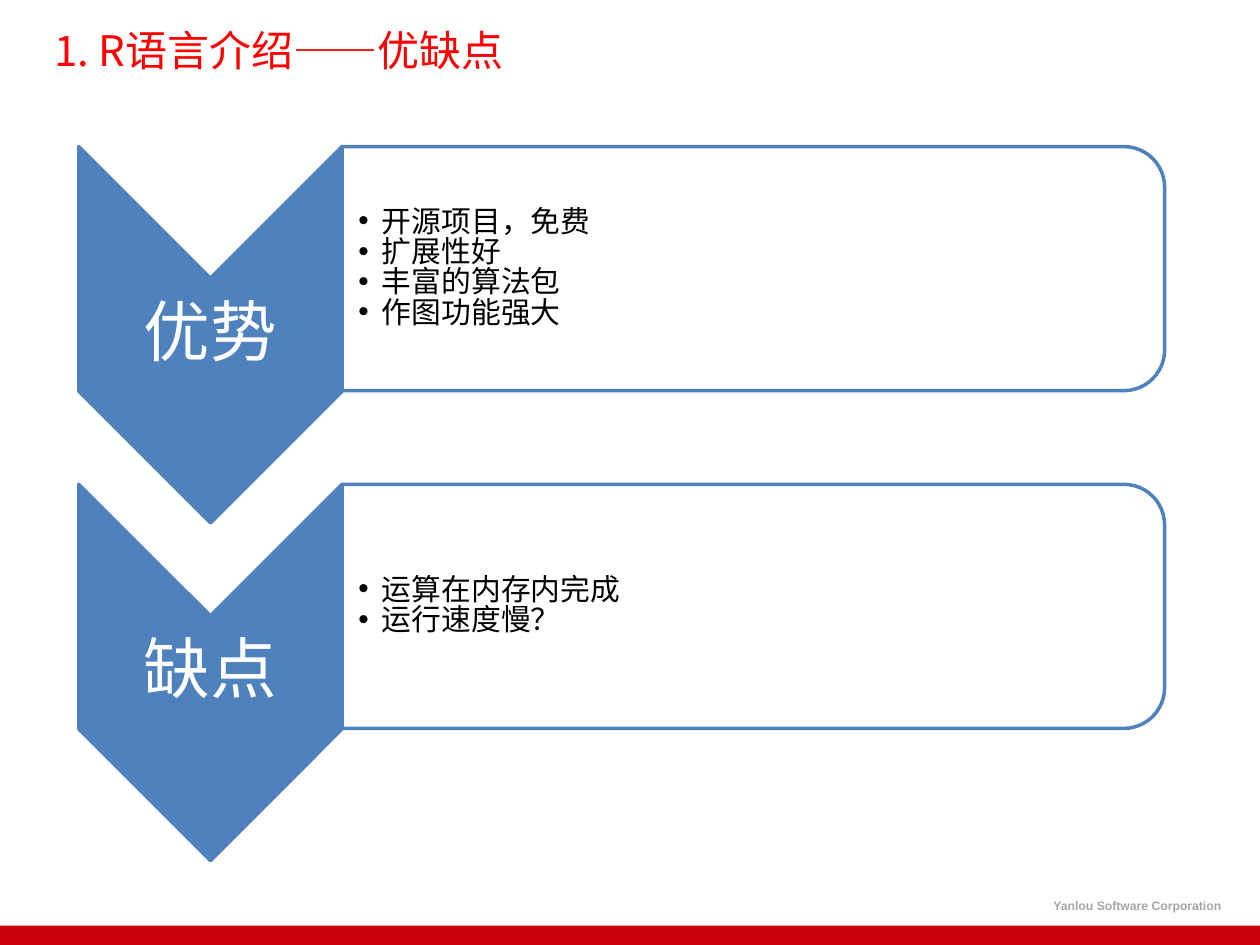
from pptx import Presentation
from pptx.dml.color import RGBColor
from pptx.enum.shapes import MSO_SHAPE
from pptx.enum.text import MSO_ANCHOR, MSO_AUTO_SIZE, PP_ALIGN
from pptx.oxml.ns import qn
from pptx.util import Pt
from lxml import etree

RECT, CHEVRON = MSO_SHAPE.RECTANGLE, MSO_SHAPE.CHEVRON
ROUND = MSO_SHAPE.ROUND_2_SAME_RECTANGLE
MIDDLE, FIXED = MSO_ANCHOR.MIDDLE, MSO_AUTO_SIZE.NONE
LEFT, CENTER, RIGHT = PP_ALIGN.LEFT, PP_ALIGN.CENTER, PP_ALIGN.RIGHT

WIDTH, HEIGHT = 720, 540
CJK = "Noto Sans CJK SC"
BLUE, WHITE = "4F81BD", "FFFFFF"
ARROW_W, ARROW_H = 150.5, 215
PANEL_W, PANEL_H = 470, 139.5
STEP = 193
GROUPS = [
    ("优势", "Calibri", ["开源项目，免费", "扩展性好", "丰富的算法包", "作图功能强大"]),
    ("缺点", CJK, ["运算在内存内完成", "运行速度慢？"]),
]


def color(text):
    return RGBColor.from_string(text)


def assign(item, values):
    for name, value in values.items():
        setattr(item, name, value)


def place(shape, x, y, w, h):
    assign(shape, dict(left=Pt(x), top=Pt(y), width=Pt(w), height=Pt(h)))


def write(shape, lines, size, hue, font, para, inset=(7.2, 3.6), wrap=True, bold=False):
    """Fill the text frame with one paragraph per line; inset is (x, y)."""
    frame = shape.text_frame
    across, down = map(Pt, inset)
    assign(frame, dict(
        text="\n".join(lines), word_wrap=wrap, auto_size=FIXED,
        vertical_anchor=MIDDLE, margin_left=across, margin_right=across,
        margin_top=down, margin_bottom=down))
    for line in frame.paragraphs:
        assign(line, para)
        run = line.runs[0]
        assign(run.font, dict(size=Pt(size), name=font, bold=bold))
        run.font.color.rgb = color(hue)
        east = etree.SubElement(run.font._element, qn("a:ea"))
        east.set("typeface", CJK)


def block(slide, kind, box, fill, edge=None, turn=0):
    """Draw a shape that covers box once turned by 0 or 90 degrees."""
    x, y, w, h = box
    if turn:
        x, y, w, h = x + (w - h) / 2, y + (h - w) / 2, h, w
    shape = slide.shapes.add_shape(kind, Pt(x), Pt(y), Pt(w), Pt(h))
    shape.rotation = turn
    shape.shadow.inherit = False
    shape.fill.solid()
    shape.fill.fore_color.rgb = color(fill)
    if edge:
        shape.line.color.rgb = color(edge)
        shape.line.width = Pt(2)
    else:
        shape.line.fill.background()
    return shape


def textbox(slide, x, y, w, h):
    return slide.shapes.add_textbox(Pt(x), Pt(y), Pt(w), Pt(h))


def heading(slide, x, y, w, h):
    title = slide.shapes.title
    place(title, x, y, w, h)
    write(title, ["1. R语言介绍——优缺点"], 24, "FF0000", CJK, dict(alignment=LEFT))


def footer(slide, x, y, w, h):
    block(slide, RECT, (x, y, w, h), "C8000E")
    note = textbox(slide, x + w - 129, y - 19.5, 114, 16)
    write(note, ["Yanlou Software Corporation"], 7, "A6A6A6", "Arial",
          dict(alignment=RIGHT), wrap=False, bold=True)


def group(slide, x, y, label, font, items, body):
    notch = ARROW_W / 2
    block(slide, CHEVRON, (x, y, ARROW_W, ARROW_H), BLUE, BLUE, 90)
    name = textbox(slide, x, y + notch, ARROW_W, ARROW_H - 2 * notch)
    write(name, [label], 38, WHITE, "Calibri",
          dict(alignment=CENTER, line_spacing=0.9), (2, 2))

    side = x + ARROW_W
    panel = block(slide, ROUND, (side, y, PANEL_W, PANEL_H), WHITE, BLUE, 90)
    tint = panel.fill._xPr.find(".//" + qn("a:srgbClr"))
    etree.SubElement(tint, qn("a:alpha")).set("val", "90000")

    slide.shapes._spTree.append(body._element)  # in front of the panel
    place(body, side, y + 7, PANEL_W - 6, PANEL_H - 14)
    write(body, items, 17, "000000", font,
          dict(alignment=LEFT, line_spacing=0.85, space_before=Pt(0)), (9.2, 1))
    for line in body.text_frame.paragraphs:
        form = line._p.get_or_add_pPr()
        form.set("marL", str(Pt(13.5)))
        form.set("indent", str(-Pt(13.5)))


def main():
    deck = Presentation()
    deck.slide_width, deck.slide_height = Pt(WIDTH), Pt(HEIGHT)
    slide = deck.slides.add_slide(deck.slide_layouts[3])
    bodies = list(slide.placeholders)[1:]
    footer(slide, 0, 529, WIDTH, 11)
    heading(slide, 24, 12, 582, 33)
    for row, (entry, body) in enumerate(zip(GROUPS, bodies)):
        group(slide, 45, 83.75 + row * STEP, *entry, body)
    deck.save("out.pptx")


if __name__ == "__main__":
    main()
